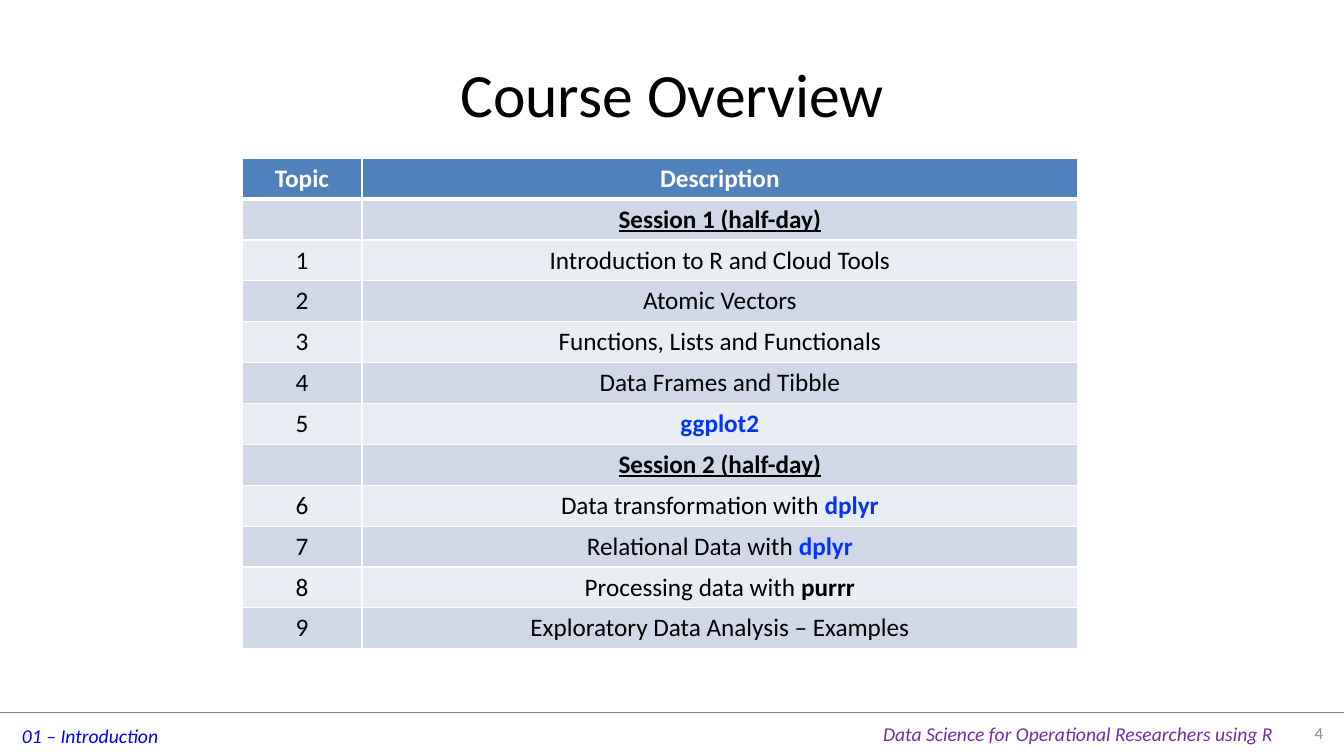
"""Build the course overview slide."""
from dataclasses import dataclass

from lxml.etree import SubElement
from pptx import Presentation
from pptx.dml.color import RGBColor
from pptx.enum.shapes import MSO_CONNECTOR
from pptx.enum.text import MSO_ANCHOR, PP_ALIGN
from pptx.oxml.ns import qn
from pptx.slide import Slide
from pptx.table import _Cell
from pptx.text.text import Font
from pptx.util import Inches, Pt


@dataclass(frozen=True)
class Theme:
    """Font, colours and type sizes."""
    face: str = "Calibri"
    black: str = "000000"
    white: str = "FFFFFF"
    blue: str = "0432FF"
    link: str = "0000FF"
    purple: str = "7030A0"
    gray: str = "8C8C8C"
    rule: str = "808080"
    head: str = "4F81BD"
    dark: str = "D0D8E8"
    light: str = "E9EDF4"
    title: int = 44
    body: int = 18
    foot: int = 14
    page: int = 12


@dataclass(frozen=True)
class Label:
    """One text box."""
    text: str
    box: tuple[float, float, float, float]
    size: int
    color: str
    align: PP_ALIGN = PP_ALIGN.LEFT
    anchor: MSO_ANCHOR = MSO_ANCHOR.TOP
    wrap: bool = False
    italic: bool = False


@dataclass(frozen=True)
class Topic:
    """One table row, with an optional bold ending."""
    num: str
    text: str
    strong: str = ""
    color: str = "000000"
    session: bool = False


THEME = Theme()
LABELS = [
    Label("01 – Introduction", (0.12, 7.13, 1.57, 0.34), THEME.foot,
          THEME.link, italic=True),
    Label("Data Science for Operational Researchers using R",
          (8.66, 7.11, 4.11, 0.34), THEME.foot, THEME.purple, italic=True),
    Label("Course Overview", (0.67, 0.3, 12, 1.25), THEME.title, THEME.black,
          PP_ALIGN.CENTER, MSO_ANCHOR.MIDDLE, True),
    Label("4", (12.67, 7.07, 0.55, 0.39), THEME.page, THEME.gray,
          PP_ALIGN.RIGHT, MSO_ANCHOR.MIDDLE, True),
]
TOPICS = [
    Topic("Topic", "", "Description", THEME.white),
    Topic("", "", "Session 1 (half-day)", session=True),
    Topic("1", "Introduction to R and Cloud Tools"),
    Topic("2", "Atomic Vectors"),
    Topic("3", "Functions, Lists and Functionals"),
    Topic("4", "Data Frames and Tibble"),
    Topic("5", "", "ggplot2", THEME.blue),
    Topic("", "", "Session 2 (half-day)", session=True),
    Topic("6", "Data transformation with ", "dplyr", THEME.blue),
    Topic("7", "Relational Data with ", "dplyr", THEME.blue),
    Topic("8", "Processing data with ", "purrr"),
    Topic("9", "Exploratory Data Analysis – Examples"),
]


def style(font: Font, size: int, color: str) -> None:
    """Set the face, size and colour of a font."""
    font.name = THEME.face
    font.size = Pt(size)
    font.color.rgb = RGBColor.from_string(color)


def draw_label(slide: Slide, label: Label) -> None:
    """Draw one text box."""
    frame = slide.shapes.add_textbox(*map(Inches, label.box)).text_frame
    frame.word_wrap = label.wrap
    frame.vertical_anchor = label.anchor
    frame.text = label.text
    para = frame.paragraphs[0]
    para.alignment = label.align
    font = para.runs[0].font
    style(font, label.size, label.color)
    font.italic = label.italic


def draw_rule(slide: Slide) -> None:
    """Draw the line above the footer."""
    rule = slide.shapes.add_connector(
        MSO_CONNECTOR.STRAIGHT, 0, Inches(7.07), Inches(13.33), Inches(7.07))
    rule.line.color.rgb = RGBColor.from_string(THEME.rule)
    rule.line.width = Pt(0.25)
    SubElement(rule._element.spPr, qn("a:effectLst"))


def paint(cell: _Cell, fill: str, top: int, bottom: int) -> None:
    """Give a cell its borders and fill."""
    props = cell._tc.get_or_add_tcPr()
    for side, width in zip("LRTB", (1, 1, top, bottom)):
        line = SubElement(props, qn(f"a:ln{side}"), w=str(Pt(width)))
        solid = SubElement(line, qn("a:solidFill"))
        SubElement(solid, qn("a:srgbClr"), val=THEME.white)
    cell.fill.solid()
    cell.fill.fore_color.rgb = RGBColor.from_string(fill)


def write(cell: _Cell, topic: Topic, text: str, strong: str) -> None:
    """Write a plain part and a bold part, centred."""
    para = cell.text_frame.paragraphs[0]
    para.alignment = PP_ALIGN.CENTER
    style(para.font, THEME.body, THEME.black)
    for part, bold in ((text, False), (strong, True)):
        if part:
            run = para.add_run()
            run.text = part
            style(run.font, THEME.body, topic.color if bold else THEME.black)
            run.font.bold = bold
            run.font.underline = bold and topic.session


def draw_table(slide: Slide, topics: list[Topic]) -> None:
    """Draw the table of topics."""
    table = slide.shapes.add_table(
        len(topics), 2, Inches(2.4), Inches(1.57), Inches(8.29),
        Inches(4.87)).table
    for col, width in zip(table.columns, (1.19, 7.1)):
        col.width = Inches(width)
    for row, topic in enumerate(topics):
        head = row == 0
        band = THEME.dark if row % 2 else THEME.light
        num, text = table.rows[row].cells
        for cell in (num, text):
            paint(cell, THEME.head if head else band,
                  3 if row == 1 else 1, 3 if head else 1)
        write(num, topic, "" if head else topic.num,
              topic.num if head else "")
        write(text, topic, topic.text, topic.strong)


def main() -> None:
    """Build and save the slide."""
    deck = Presentation()
    deck.slide_width = Inches(13.33)
    deck.slide_height = Inches(7.5)
    slide = deck.slides.add_slide(deck.slide_layouts[6])
    draw_rule(slide)
    for label in LABELS:
        draw_label(slide, label)
    draw_table(slide, TOPICS)
    deck.save("out.pptx")


if __name__ == "__main__":
    main()
